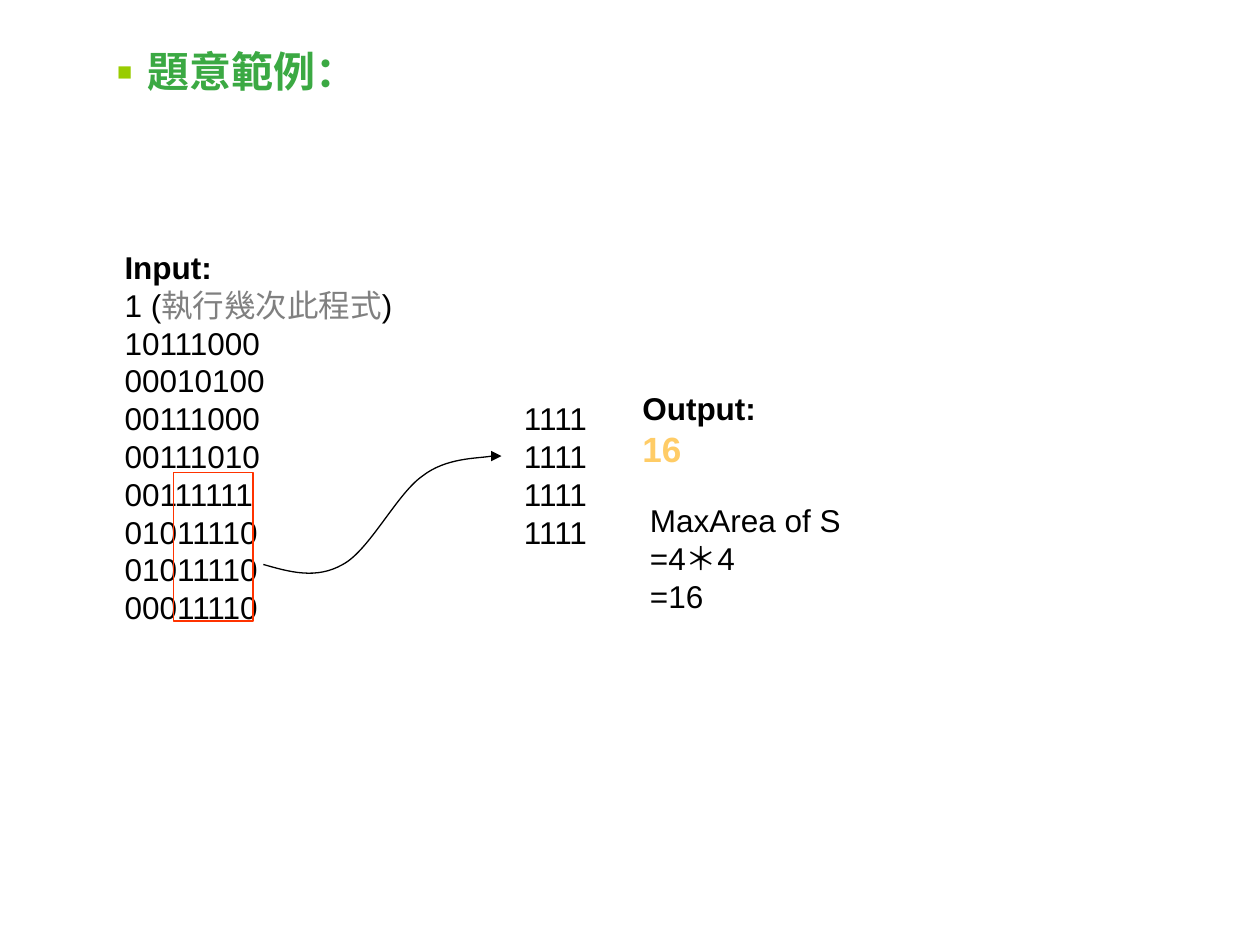
from itertools import chain

from pptx import Presentation
from pptx.dml.color import RGBColor
from pptx.enum.shapes import MSO_CONNECTOR, MSO_SHAPE
from pptx.enum.text import MSO_ANCHOR, MSO_AUTO_SIZE, PP_ALIGN
from pptx.oxml import parse_xml
from pptx.oxml.ns import nsdecls, qn
from pptx.util import Inches, Pt

BLACK = RGBColor(0x00, 0x00, 0x00)
GRAY = RGBColor(0x80, 0x80, 0x80)
GREEN = RGBColor(0x3B, 0xA9, 0x43)
GOLD = RGBColor(0xFF, 0xCC, 0x66)
RED = RGBColor(0xFF, 0x33, 0x00)
FONT = "Arial"

MATRIX = ["10111000", "00010100", "00111000", "00111010",
          "00111111", "01011110", "01011110", "00011110"]


def inches(*values):
    return [Inches(v) for v in values]


def style(font, size=18, color=BLACK, bold=False):
    font.name = FONT
    font.size = Pt(size)
    font.bold = bold
    font.color.rgb = color


def add_text(slide, box, lines):
    """Write lines, each a list of (text, style options) runs, into a text box."""
    tf = slide.shapes.add_textbox(*inches(*box)).text_frame
    tf.word_wrap = True
    for i, runs in enumerate(lines):
        p = tf.paragraphs[0] if i == 0 else tf.add_paragraph()
        for text, options in runs:
            r = p.add_run()
            r.text = text
            style(r.font, **options)


def plain(*texts):
    return [[(text, {})] for text in texts]


def add_heading(slide, box):
    title = slide.shapes.title
    title.left, title.top, title.width, title.height = inches(*box)
    tf = title.text_frame
    tf.text = "題意範例："
    tf.vertical_anchor = MSO_ANCHOR.TOP
    tf.auto_size = MSO_AUTO_SIZE.NONE
    p = tf.paragraphs[0]
    p.alignment = PP_ALIGN.LEFT
    p.line_spacing = 0.9
    pPr = p._p.get_or_add_pPr()
    pPr.set("marL", str(Inches(0.24)))
    pPr.set("indent", str(Inches(-0.24)))
    for xml in ('<a:buClr {}><a:srgbClr val="99CC00"/></a:buClr>',
                '<a:buSzPct {} val="60000"/>',
                '<a:buFont {} typeface="Arial"/>',
                '<a:buChar {} char="■"/>'):
        pPr.append(parse_xml(xml.format(nsdecls("a"))))
    style(p.runs[0].font, 24, GREEN, True)


def add_input(slide, box):
    count = [("1 (", {}), ("執行幾次此程式", {"color": GRAY}), (")", {})]
    add_text(slide, box, [[("Input:", {"bold": True})], count, *plain(*MATRIX)])


def add_output(slide, box):
    add_text(slide, box, [[("Output:", {"bold": True})],
                          [("16", {"size": 20, "color": GOLD, "bold": True})]])


def add_submatrix_frame(slide, box):
    sp = slide.shapes.add_shape(MSO_SHAPE.RECTANGLE, *inches(*box))
    sp.shadow.inherit = False
    sp.fill.background()
    sp.line.color.rgb = RED
    sp.line.width = Pt(0.75)


def add_curve(slide, start, curves):
    """Draw cubic curves, each two control points and an end point."""
    builder = slide.shapes.build_freeform(*inches(*start), scale=1.0)
    builder.add_line_segments([inches(*pt) for pt in chain(*curves)], close=False)
    sp = builder.convert_to_shape()
    sp.shadow.inherit = False
    sp.fill.background()
    sp.line.color.rgb = BLACK
    sp.line.width = Pt(0.75)
    # Merge each three straight segments into one Bézier segment
    segments = list(sp._element.iter(qn("a:lnTo")))
    for i in range(0, len(segments), 3):
        bezier = parse_xml(f"<a:cubicBezTo {nsdecls('a')}/>")
        segments[i].addprevious(bezier)
        for segment in segments[i:i + 3]:
            bezier.append(segment[0])
            segment.getparent().remove(segment)


def add_arrow_tip(slide, start, end):
    cxn = slide.shapes.add_connector(MSO_CONNECTOR.STRAIGHT, *inches(*start, *end))
    cxn.line.color.rgb = BLACK
    cxn.line.width = Pt(0.75)
    cxn.line._get_or_add_ln().append(
        parse_xml(f'<a:tailEnd {nsdecls("a")} type="triangle"/>'))
    cxn._element.spPr.append(parse_xml(f"<a:effectLst {nsdecls('a')}/>"))


def main():
    prs = Presentation()
    prs.slide_width, prs.slide_height = inches(10, 7.5)
    slide = prs.slides.add_slide(prs.slide_layouts[5])
    add_heading(slide, (0.83, 0.36, 8.5, 0.6))
    add_input(slide, (0.89, 1.92, 3, 3.1))
    add_output(slide, (5, 3.04, 5, 0.74))
    add_text(slide, (5.06, 3.93, 1.78, 1), plain("MaxArea of S", "=4＊4", "=16"))
    add_submatrix_frame(slide, (1.38, 3.75, 0.63, 1.18))
    add_curve(slide, (2.09, 4.48), [
        [(2.3, 4.54), (2.51, 4.6), (2.72, 4.48)],
        [(2.93, 4.37), (3.15, 3.92), (3.35, 3.78)],
        [(3.54, 3.63), (3.79, 3.64), (3.9, 3.62)],
    ])
    add_arrow_tip(slide, (3.9, 3.62), (3.98, 3.62))
    add_text(slide, (4.06, 3.12, 0.75, 1.3), plain(*["1111"] * 4))
    prs.save("out.pptx")


if __name__ == "__main__":
    main()
